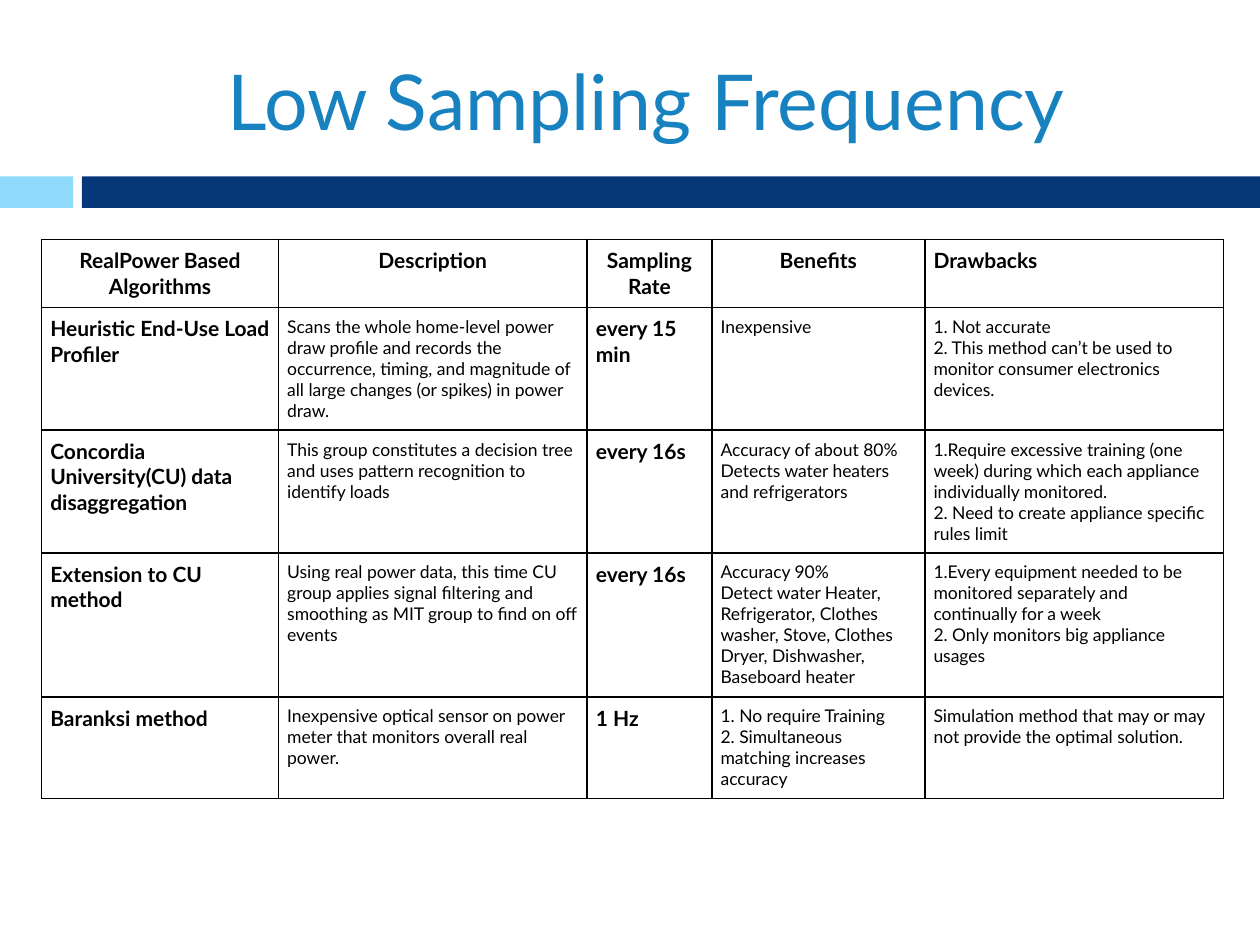
import pptx
import pptx.util
import pptx.dml.color
import pptx.enum.shapes
import pptx.enum.text
import pptx.oxml
import pptx.oxml.ns

Inches = pptx.util.Inches
CENTER = pptx.enum.text.PP_ALIGN.CENTER
LEFT = pptx.enum.text.PP_ALIGN.LEFT


def color(value):
    return pptx.dml.color.RGBColor.from_string(value)


def write(frame, text, size, bold, tint, alignment):
    frame.text = text
    for para in frame.paragraphs:
        para.alignment = alignment
        para.font.name = "Lato"
        para.font.size = pptx.util.Pt(size)
        para.font.bold = bold
        para.font.color.rgb = color(tint)


deck = pptx.Presentation()
deck.slide_width = Inches(10)
deck.slide_height = Inches(7.5)
page = deck.slides.add_slide(deck.slide_layouts[6])

for left, width, fill in [(0, 0.58, "8FD9FB"), (0.65, 9.35, "073779")]:
    bar = page.shapes.add_shape(
        pptx.enum.shapes.MSO_SHAPE.RECTANGLE,
        Inches(left), Inches(1.4), Inches(width), Inches(0.25))
    bar.shadow.inherit = False
    bar.fill.solid()
    bar.fill.fore_color.rgb = color(fill)
    bar.line.fill.background()

title = page.shapes.add_textbox(Inches(0.67), Inches(0.25), Inches(8.92), Inches(1.08))
frame = title.text_frame
frame.word_wrap = True
frame.vertical_anchor = pptx.enum.text.MSO_ANCHOR.MIDDLE
frame.margin_left = frame.margin_right = Inches(0.1)
frame.margin_top = frame.margin_bottom = Inches(0.1)
write(frame, "Low Sampling Frequency", 44, False, "1782BF", CENTER)

rows = [
    ["RealPower Based\nAlgorithms", "Description", "Sampling Rate", "Benefits", "Drawbacks"],
    ["Heuristic End-Use Load Profiler",
     "Scans the whole home-level power draw profile and records the occurrence, timing, "
     "and magnitude of all large changes (or spikes) in power draw.",
     "every 15 min",
     "Inexpensive",
     "1. Not accurate\n"
     "2. This method can’t be used to monitor consumer electronics devices."],
    ["Concordia University(CU) data disaggregation",
     "This group constitutes a decision tree and uses pattern recognition to identify loads",
     "every 16s",
     "Accuracy of about 80%\nDetects water heaters and refrigerators",
     "1.Require excessive training (one week) during which each appliance "
     "individually monitored.\n"
     "2. Need to create appliance specific rules limit"],
    ["Extension to CU method",
     "Using real power data, this time CU group applies signal filtering and smoothing "
     "as MIT group to find on off events",
     "every 16s",
     "Accuracy 90%\nDetect water Heater,\n"
     "Refrigerator, Clothes washer, Stove, Clothes Dryer, Dishwasher,\nBaseboard heater",
     "1.Every equipment needed to be monitored separately and continually for a week\n"
     "2. Only monitors big appliance usages"],
    ["Baranksi method",
     "Inexpensive optical sensor on power meter that monitors overall real power.",
     "1 Hz",
     "1. No require Training\n2. Simultaneous matching increases accuracy",
     "Simulation method that may or may not provide the optimal solution."],
]
column_widths = [1.88, 2.45, 0.99, 1.69, 2.37]
row_heights = [0.54, 0.97, 0.97, 1.14, 0.8]

table = page.shapes.add_table(
    len(rows), len(column_widths), Inches(0.33), Inches(1.9),
    Inches(sum(column_widths)), Inches(sum(row_heights))).table
table.first_row = False
table.horz_banding = False
for column, width in zip(table.columns, column_widths):
    column.width = Inches(width)

for row_index, texts in enumerate(rows):
    table.rows[row_index].height = Inches(row_heights[row_index])
    for column_index, text in enumerate(texts):
        cell = table.cell(row_index, column_index)
        cell.margin_left = cell.margin_right = Inches(0.07)
        cell.margin_top = cell.margin_bottom = Inches(0.07)
        header = row_index == 0
        strong = header or column_index in (0, 2)
        write(cell.text_frame, text, 12 if strong else 10, strong, "000000",
              CENTER if header and column_index < 4 else LEFT)
        properties = cell._tc.get_or_add_tcPr()
        for side in ("lnL", "lnR", "lnT", "lnB"):
            properties.append(pptx.oxml.parse_xml(
                f'<a:{side} {pptx.oxml.ns.nsdecls("a")} w="12700"><a:solidFill>'
                f'<a:srgbClr val="000000"/></a:solidFill></a:{side}>'))
        cell.fill.background()

deck.save("out.pptx")
